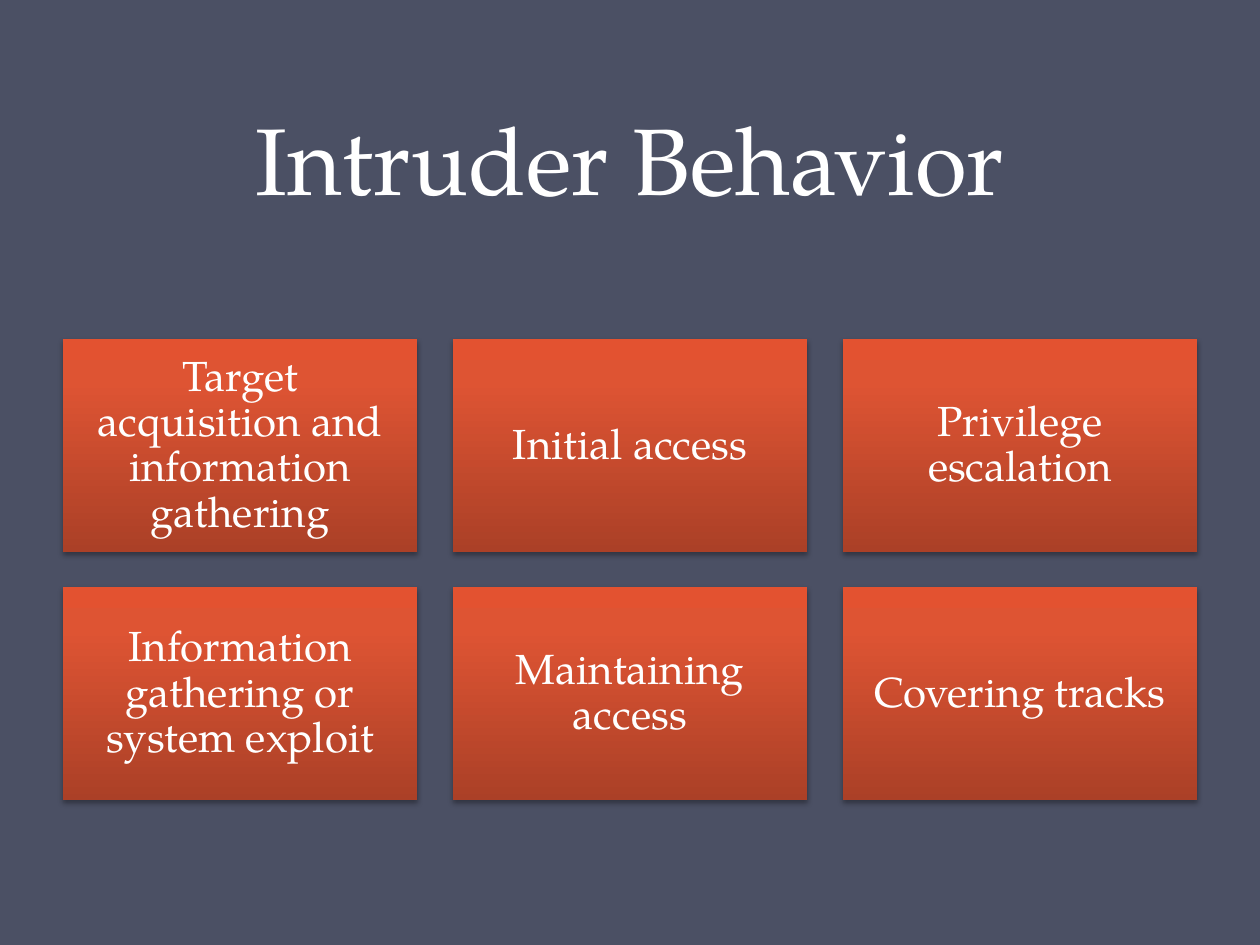
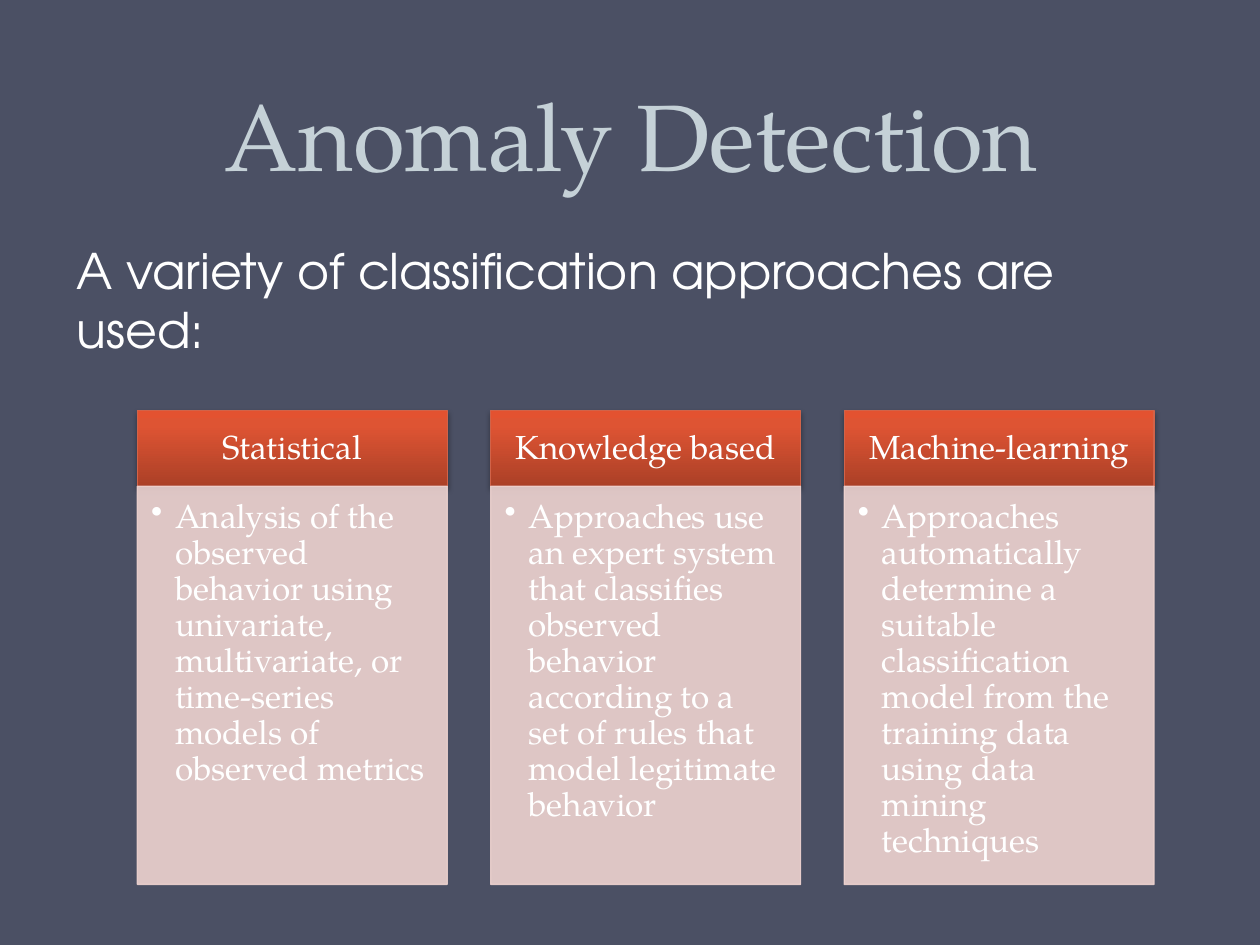
from copy import deepcopy

from lxml.etree import SubElement
from pptx import Presentation
from pptx.dml.color import RGBColor
from pptx.enum.shapes import MSO_SHAPE as Preset
from pptx.enum.text import MSO_ANCHOR as Anchor, MSO_AUTO_SIZE as AutoSize, PP_ALIGN as Align
from pptx.oxml.ns import qn
from pptx.util import Inches, Pt

BACKGROUND, WHITE, PALE_TITLE = "4B5064", "FFFFFF", "C5D1D7"
HEADING_LINE, PANEL = "D16349", "EED3D0"
EMBER = [(0, "AB4027"), (0.8, "DE5433"), (1, "E35230")]
SERIF, SANS = "TeX Gyre Pagella", "TeX Gyre Adventor"
STAGES = [
    "Target acquisition and information gathering",
    "Initial access",
    "Privilege escalation",
    "Information gathering or system exploit",
    "Maintaining access",
    "Covering tracks",
]
APPROACHES = [
    ("Statistical",
     "Analysis of the observed behavior using univariate, multivariate, "
     "or time-series models of observed metrics"),
    ("Knowledge based",
     "Approaches use an expert system that classifies observed behavior "
     "according to a set of rules that model legitimate behavior"),
    ("Machine-learning",
     "Approaches automatically determine a suitable classification model "
     "from the training data using data mining techniques"),
]


def rgb(code):
    """Turn a hex string into a colour."""
    return RGBColor.from_string(code)


def assign(target, **values):
    """Set each given attribute on the target."""
    for name, value in values.items():
        setattr(target, name, value)


def spread(start, end, size, count):
    """Return the starts of equal items that fill a span with equal gaps."""
    pitch = (end - start - size) / (count - 1)
    return [start + pitch * index for index in range(count)]


class Deck:
    """Hold the shared style and the slide being built."""

    def __init__(self):
        """Start an empty 10 by 7.5 inch deck."""
        self.deck = Presentation()
        assign(self.deck, slide_width=Inches(10), slide_height=Inches(7.5))
        self.slide = None

    def start(self, title, left, top, color):
        """Add a slide with its title."""
        self.slide = self.deck.slides.add_slide(self.deck.slide_layouts[5])
        background = self.slide.background.fill
        background.solid()
        background.fore_color.rgb = rgb(BACKGROUND)
        heading = self.slide.shapes.title
        assign(heading, left=Inches(left), top=Inches(top), width=Inches(9), height=Inches(1.75))
        self.set_text(heading, title, 54, color=color, anchor=Anchor.BOTTOM, spacing=Pt(58))

    def set_text(self, holder, text, size, font=SERIF, color=WHITE, align=Align.CENTER,
                 anchor=Anchor.MIDDLE, insets=(0.1, 0.05, 0.1, 0.05), spacing=0.9, bullet=False):
        """Put one formatted paragraph in a shape."""
        frame = holder.text_frame
        assign(frame, word_wrap=True, auto_size=AutoSize.NONE, vertical_anchor=anchor)
        sides = ("margin_left", "margin_top", "margin_right", "margin_bottom")
        assign(frame, **{side: Inches(inset) for side, inset in zip(sides, insets)})
        paragraph = frame.paragraphs[0]
        if bullet:
            properties = paragraph._p.get_or_add_pPr()
            properties.set("marL", str(Inches(0.19)))
            properties.set("indent", str(-Inches(0.19)))
            SubElement(properties, qn("a:buChar"), char="•")
        assign(paragraph, alignment=align, line_spacing=spacing)
        run = paragraph.add_run()
        run.text = text
        assign(run.font, name=font, size=Pt(size))
        run.font.color.rgb = rgb(color)

    def lead(self, text, left, top, width, height):
        """Add an introductory sentence."""
        sentence = self.slide.shapes.add_textbox(*map(Inches, (left, top, width, height)))
        self.set_text(sentence, text, 28, font=SANS, align=Align.LEFT, anchor=Anchor.TOP, spacing=1.0)

    def block(self, box, line=None):
        """Add a rectangle without a shadow and outline it if asked."""
        block = self.slide.shapes.add_shape(Preset.RECTANGLE, *map(Inches, box))
        block.shadow.inherit = False
        if line:
            block.line.color.rgb = rgb(line)
            block.line.width = Pt(0.75)
        else:
            block.line.fill.background()
        return block

    def card(self, text, box, size, insets, line=None):
        """Add a shaded card with a soft shadow."""
        card = self.block(box, line)
        card.fill.gradient()
        card.fill.gradient_angle = 90
        properties = card.element.spPr
        stops = properties.find(qn("a:gradFill")).find(qn("a:gsLst"))
        stops.append(deepcopy(stops[-1]))
        for stop, (position, color) in zip(card.fill.gradient_stops, EMBER):
            stop.position = position
            stop.color.rgb = rgb(color)
        shadow = SubElement(properties.find(qn("a:effectLst")), qn("a:outerShdw"),
                            blurRad=str(Pt(3.1)), dist=str(Pt(1.8)), dir="5400000", rotWithShape="0")
        black = SubElement(shadow, qn("a:srgbClr"), val="000000")
        SubElement(black, qn("a:alpha"), val="35000")
        self.set_text(card, text, size, insets=insets)

    def panel(self, text, box):
        """Add a translucent panel with a bulleted text."""
        panel = self.block(box, PANEL)
        panel.fill.solid()
        panel.fill.fore_color.rgb = rgb(PANEL)
        for tint in panel.element.spPr.iter(qn("a:srgbClr")):
            SubElement(tint, qn("a:alpha"), val="90000")
        self.set_text(panel, text, 19, align=Align.LEFT, anchor=Anchor.TOP,
                      insets=(0.11, 0.11, 0.15, 0.17), bullet=True)


def main():
    """Build both slides and save them."""
    deck = Deck()

    deck.start("Intruder Behavior", 0.5, 0, WHITE)
    width, height = 2.81, 1.69
    places = [(left, top, width, height)
              for top in spread(2.69, 6.35, height, 2)
              for left in spread(0.5, 9.5, width, 3)]
    for stage, place in zip(STAGES, places):
        deck.card(stage, place, 24, (0.1, 0.1, 0.1, 0.1))

    deck.start("Anomaly Detection", 0.51, -0.19, PALE_TITLE)
    deck.lead("A variety of classification approaches are used:", 0.51, 1.86, 9, 1.06)
    width = 2.46
    for left, (approach, meaning) in zip(spread(1.09, 9.16, width, 3), APPROACHES):
        deck.card(approach, (left, 3.26, width, 0.6), 19, (0.15, 0.08, 0.15, 0.08), HEADING_LINE)
        deck.panel(meaning, (left, 3.86, width, 3.16))

    deck.deck.save("out.pptx")


if __name__ == "__main__":
    main()
